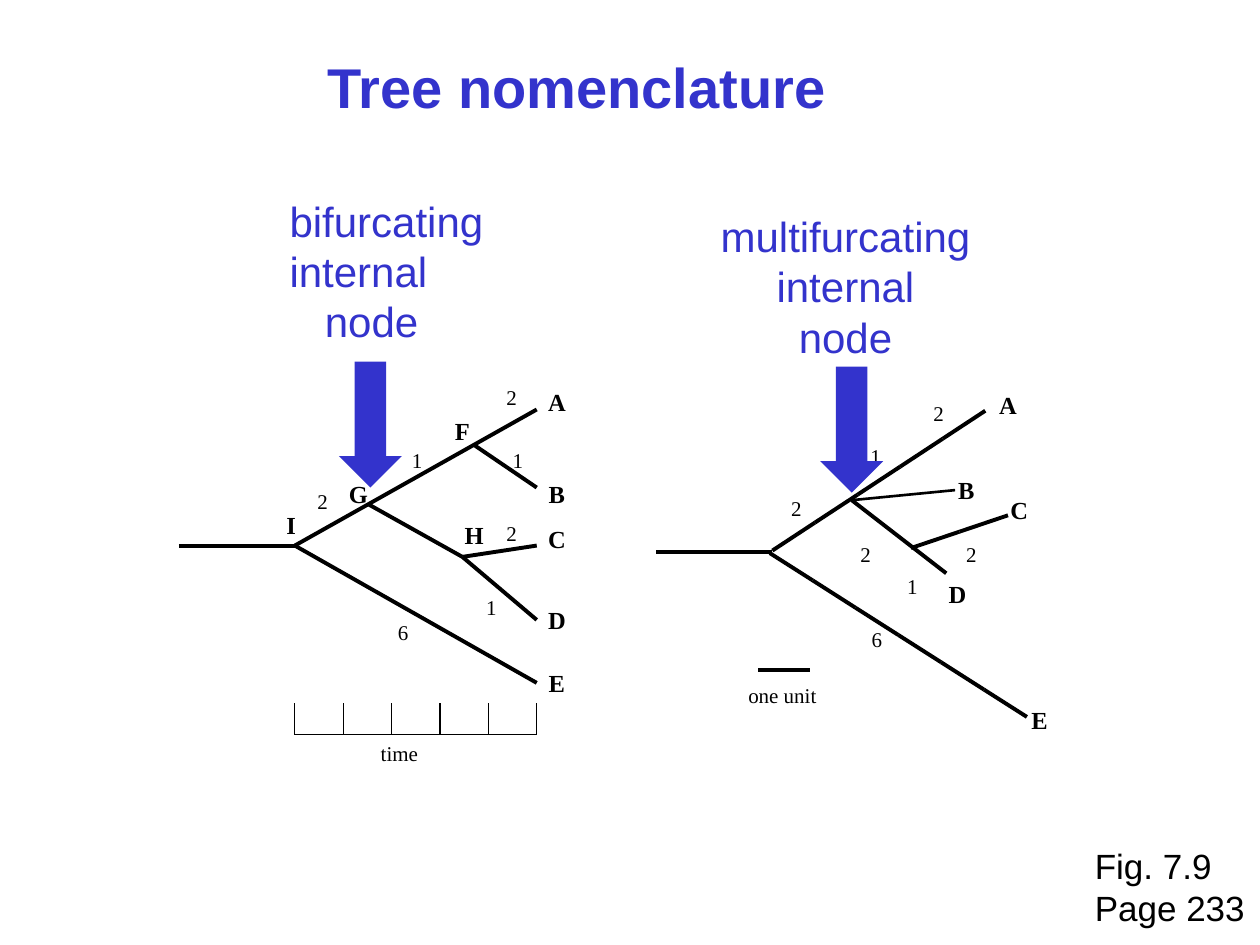
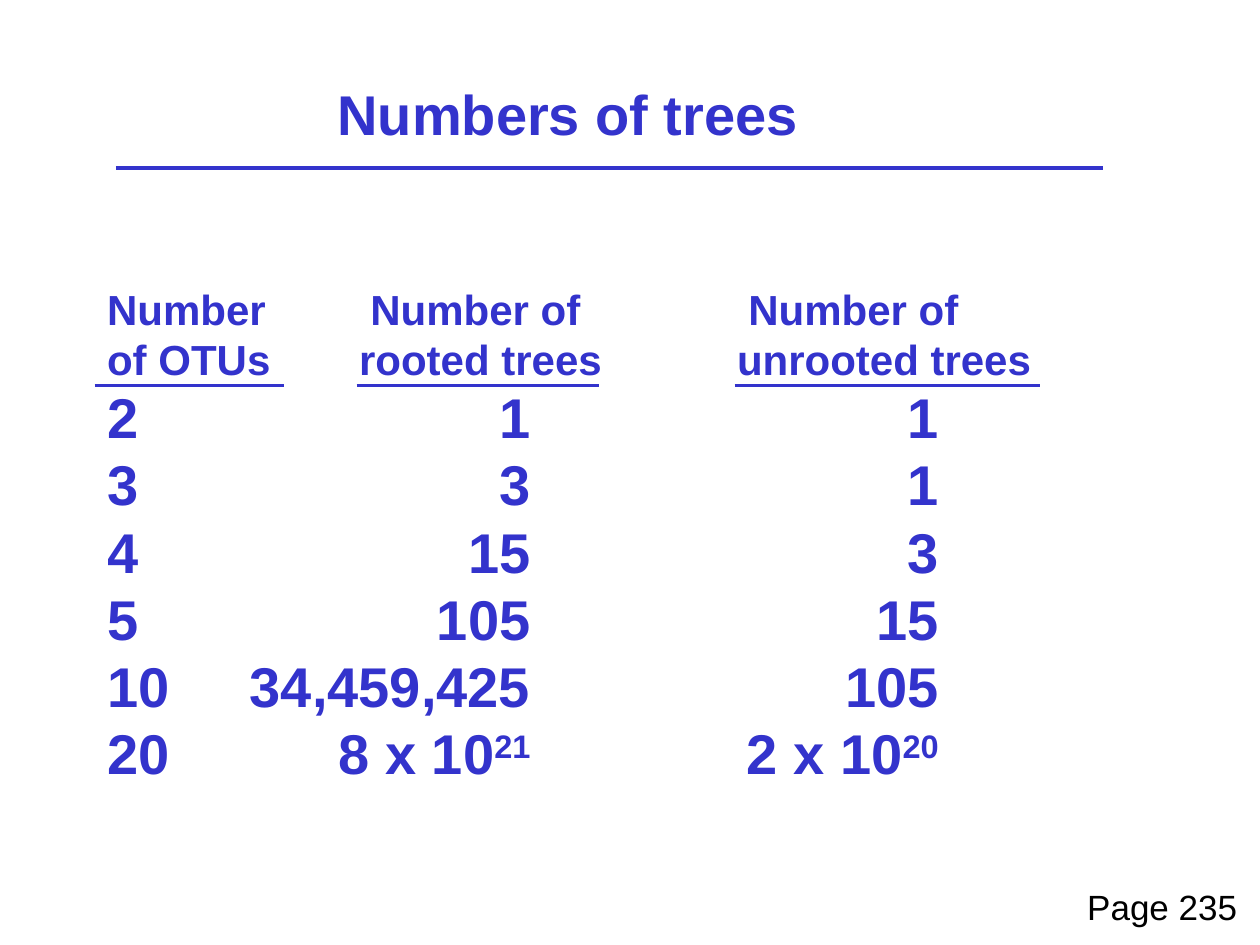
from itertools import pairwise

from lxml import etree
from pptx import Presentation
from pptx.dml.color import RGBColor
from pptx.enum.shapes import MSO_CONNECTOR, MSO_SHAPE
from pptx.enum.text import MSO_ANCHOR, PP_ALIGN
from pptx.oxml.ns import qn
from pptx.util import Inches, Pt

BLUE = RGBColor(0x33, 0x33, 0xCC)
BLACK = RGBColor(0, 0, 0)
SANS = "Arial"
SERIF = "Times New Roman"
LEFT, CENTER, RIGHT = PP_ALIGN.LEFT, PP_ALIGN.CENTER, PP_ALIGN.RIGHT
MIDDLE = MSO_ANCHOR.MIDDLE
STRAIGHT = MSO_CONNECTOR.STRAIGHT
DOWN_ARROW = MSO_SHAPE.DOWN_ARROW


class Deck:
    def __init__(self):
        self.file = Presentation()
        self.file.slide_width = Inches(10)
        self.file.slide_height = Inches(7.5)
        self.page = None

    def new_page(self):
        self.page = self.file.slides.add_slide(self.file.slide_layouts[6])

    def span(self, para, text, size, color=BLUE, font=SANS, bold=False, raised=False):
        span = para.add_run()
        span.text = text
        span.font.size = Pt(size)
        span.font.name = font
        span.font.bold = bold
        span.font.color.rgb = color
        if raised:
            span.font._element.set("baseline", "30000")

    def paragraphs(self, frame, lines, align=LEFT, indents=(), **style):
        """Fill a text frame; indents gives the left margin of each line in inches."""
        for index, line in enumerate(lines):
            para = frame.add_paragraph() if index else frame.paragraphs[0]
            if index < len(indents):
                para._p.get_or_add_pPr().set("marL", str(Inches(indents[index])))
            para.alignment = align
            para.line_spacing = Pt(1.2 * style["size"])
            self.span(para, line, **style)

    def text(self, lines, left, top, width, height, **style):
        box = self.page.shapes.add_textbox(
            Inches(left), Inches(top), Inches(width), Inches(height))
        box.text_frame.word_wrap = False
        self.paragraphs(box.text_frame, lines, **style)

    def title(self, text, left, top, width):
        self.text([text], left, top, width, 0.64, size=32, bold=True)

    def page_note(self, lines, left, top, height):
        self.text(lines, left, top, 1.39, height, size=20, color=BLACK)

    def taxon(self, name, left, top):
        self.text([name], left, top, 0.34, 0.34, align=CENTER, size=14,
                  color=BLACK, font=SERIF, bold=True)

    def length(self, text, left, top, width=0.28):
        self.text([text], left, top, width, 0.3, align=CENTER, size=12,
                  color=BLACK, font=SERIF)

    def line(self, start, end, weight=2.25, color=BLACK):
        points = [Inches(value) for value in (*start, *end)]
        line = self.page.shapes.add_connector(STRAIGHT, *points)
        line.line.color.rgb = color
        line.line.width = Pt(weight)
        etree.SubElement(line._element.spPr, qn("a:effectLst"))

    def branch(self, start, end, units):
        """Draw a branch as a chain of lines, each one unit long."""
        stops = [[a + (b - a) * step / units for a, b in zip(start, end)]
                 for step in range(units + 1)]
        for here, following in pairwise(stops):
            self.line(here, following)

    def down_arrow(self, left, top):
        arrow = self.page.shapes.add_shape(
            DOWN_ARROW, Inches(left), Inches(top), Inches(0.5), Inches(1))
        arrow.shadow.inherit = False
        arrow.fill.solid()
        arrow.fill.fore_color.rgb = BLUE
        arrow.line.fill.background()

    def table(self, edges, top, heights):
        """Add a plain table whose columns lie between the given edges."""
        widths = [right - left for left, right in pairwise(edges)]
        table = self.page.shapes.add_table(
            len(heights), len(widths), Inches(edges[0]), Inches(top),
            Inches(sum(widths)), Inches(sum(heights))).table
        table.first_row = table.horz_banding = False
        for column, width in zip(table.columns, widths):
            column.width = Inches(width)
        for row, height in zip(table.rows, heights):
            row.height = Inches(height)
        for cell in table.iter_cells():
            cell.fill.background()
            cell.vertical_anchor = MIDDLE
            cell.margin_left = cell.margin_right = 0
            cell.margin_top = cell.margin_bottom = 0
        return table


def bifurcating_tree(deck):
    root, node_g, node_f, node_h = (2.34, 4.33), (2.92, 4), (3.76, 3.53), (3.67, 4.42)
    tip_x = 4.26
    for start, end in [
        ((1.42, 4.33), root), (root, (tip_x, 5.42)), (root, (tip_x, 3.25)),
        (node_f, (tip_x, 3.87)), (node_g, node_h),
        (node_h, (tip_x, 4.33)), (node_h, (tip_x, 4.92)),
    ]:
        deck.line(start, end)
    for name, top in zip("ABCDE", (3.02, 3.75, 4.11, 4.75, 5.25)):
        deck.taxon(name, 4.25, top)
    for name, left, top in [("F", 3.5, 3.25), ("G", 2.67, 3.75),
                            ("H", 3.59, 4.08), ("I", 2.14, 4)]:
        deck.taxon(name, left, top)

    axis_y, ticks = 5.83, 5
    deck.line((root[0], axis_y), (tip_x, axis_y), 0.75)
    for tick in range(ticks + 1):
        x = root[0] + (tip_x - root[0]) * tick / ticks
        deck.line((x, axis_y - 0.25), (x, axis_y), 0.75)
    deck.length("time", 2.82, axis_y, 0.7)
    for text, left, top in [("6", 3.06, 4.87), ("2", 2.42, 3.83), ("1", 3.17, 3.5),
                            ("1", 3.97, 3.5), ("2", 3.92, 3), ("1", 3.76, 4.67),
                            ("2", 3.92, 4.08)]:
        deck.length(text, left, top)


def multifurcating_tree(deck):
    node = (6.76, 3.97)
    deck.line((5.21, 4.38), (6.13, 4.38))
    for text, left, top in [("6", 6.82, 4.92), ("1", 6.81, 3.47), ("2", 6.18, 3.88),
                            ("2", 7.31, 3.13), ("1", 7.1, 4.5), ("2", 7.57, 4.25),
                            ("2", 6.73, 4.25)]:
        deck.length(text, left, top)
    for name, left, top in [("A", 7.83, 3.05), ("B", 7.5, 3.72), ("C", 7.92, 3.88),
                            ("D", 7.43, 4.55), ("E", 8.08, 5.55)]:
        deck.taxon(name, left, top)
    deck.line(node, (7.51, 4.55))
    deck.line(node, (7.58, 3.89), 1.5)
    deck.branch((6.11, 4.39), (8.15, 5.69), 6)
    deck.branch((6.13, 4.37), (7.82, 3.26), 5)
    deck.branch((7.23, 4.35), (8, 4.09), 2)
    deck.line((6.02, 5.32), (6.43, 5.32))
    deck.length("one unit", 5.71, 5.37, 1)


def tree_nomenclature(deck):
    deck.new_page()
    deck.title("Tree nomenclature", 2.5, 0.37, 4.18)
    bifurcating_tree(deck)
    multifurcating_tree(deck)
    deck.down_arrow(2.69, 2.87)
    deck.text(["bifurcating", "internal", "node"], 2.2, 1.5, 1.74, 1.3,
              indents=(0, 0, 0.28), size=24)
    deck.down_arrow(6.51, 2.91)
    deck.text(["multifurcating", "internal", "node"], 5.62, 1.62, 2.18, 1.3,
              align=CENTER, size=24)
    deck.page_note(["Fig. 7.9", "Page 233"], 8.59, 6.65, 0.77)


def numbers_of_trees(deck):
    deck.new_page()
    deck.title("Numbers of trees", 2.58, 0.58, 3.86)
    deck.line((0.92, 1.33), (8.75, 1.33), color=BLUE)

    headers = [("Number", "of OTUs"), ("Number of", "rooted trees"),
               ("Number of", "unrooted trees")]
    counts = [("2", "1", "1"), ("3", "3", "1"), ("4", "15", "3"), ("5", "105", "15"),
              ("10", "34,459,425", "105"), ("20", "8 x 10^21", "2 x 10^20")]
    # Headings and numbers start at different edges, so each spans its own columns.
    edges = [0.85, 1.9, 2.85, 4.21, 5.85, 7.45, 8.28]
    table = deck.table(edges, 2.24, [0.82] + [0.53] * len(counts))

    for index, lines in enumerate(headers):
        cell = table.cell(0, 2 * index)
        cell.merge(table.cell(0, 2 * index + 1))
        deck.paragraphs(cell.text_frame, lines, indents=(0.09 if index else 0,),
                        size=24, bold=True)
    for row, values in enumerate(counts, 1):
        for index, value in enumerate(values):
            cell = table.cell(row, max(0, 2 * index - 1))
            if index:
                cell.merge(table.cell(row, 2 * index))
            para = cell.text_frame.paragraphs[0]
            para.alignment = RIGHT if index else LEFT
            base, _, power = value.partition("^")
            deck.span(para, base, 32, bold=True)
            if power:
                deck.span(para, power, 32, bold=True, raised=True)

    for left, right in [(0.75, 2.25), (2.83, 4.75), (5.83, 8.25)]:
        deck.line((left, 3.06), (right, 3.06), 1.5, BLUE)
    deck.page_note(["Page 235"], 8.53, 6.98, 0.44)


def main():
    deck = Deck()
    tree_nomenclature(deck)
    numbers_of_trees(deck)
    deck.file.save("out.pptx")


if __name__ == "__main__":
    main()
